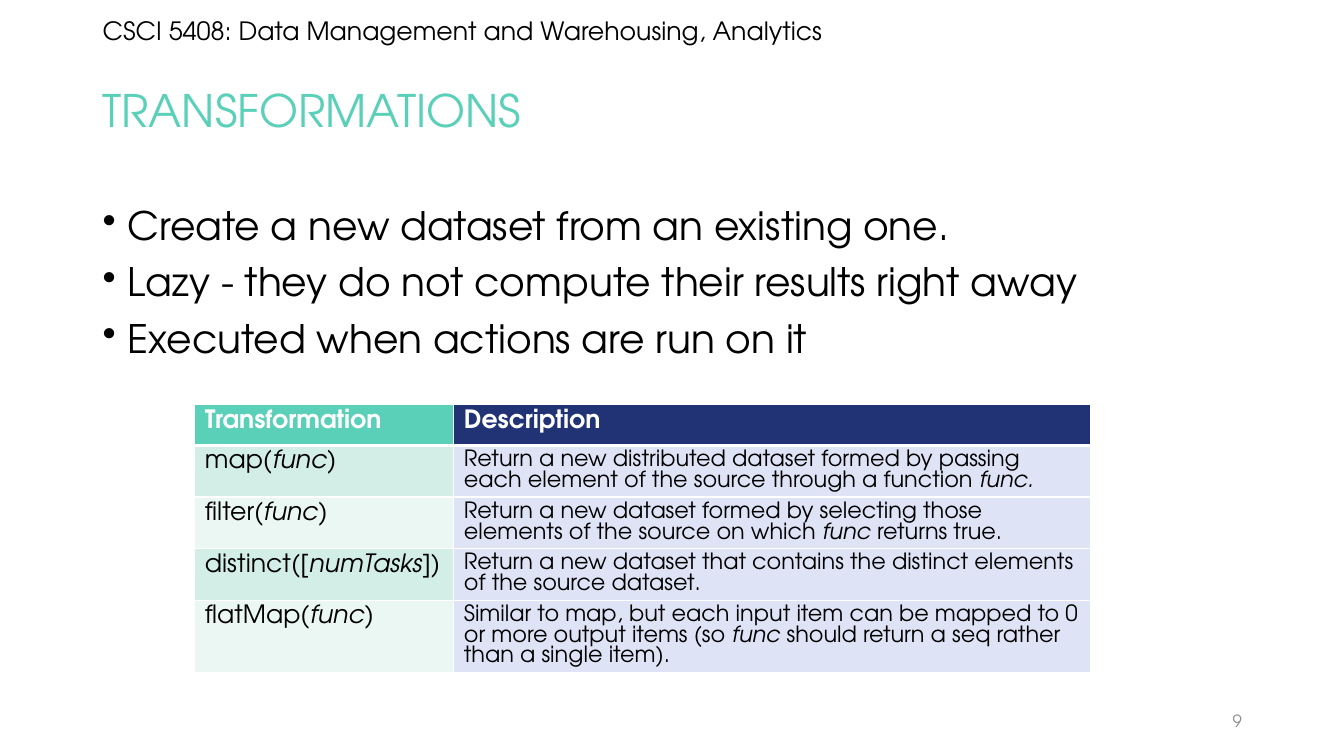
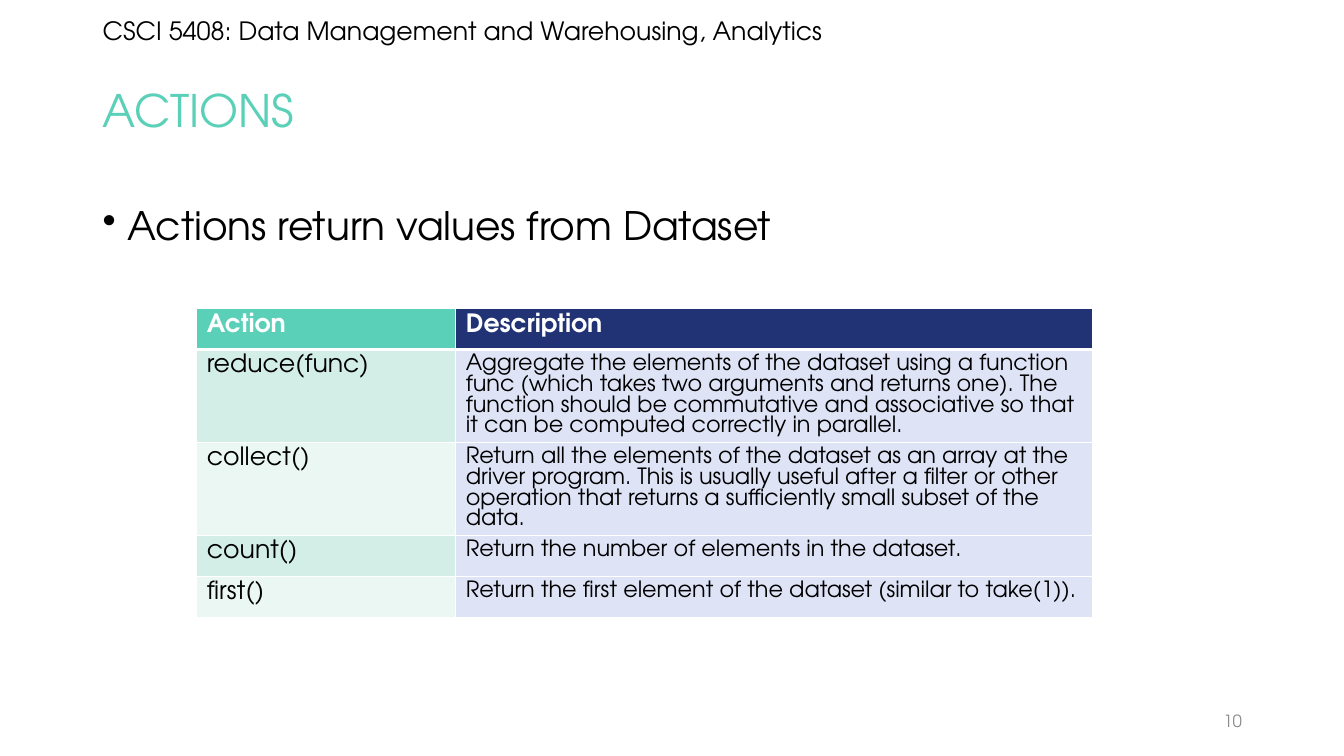
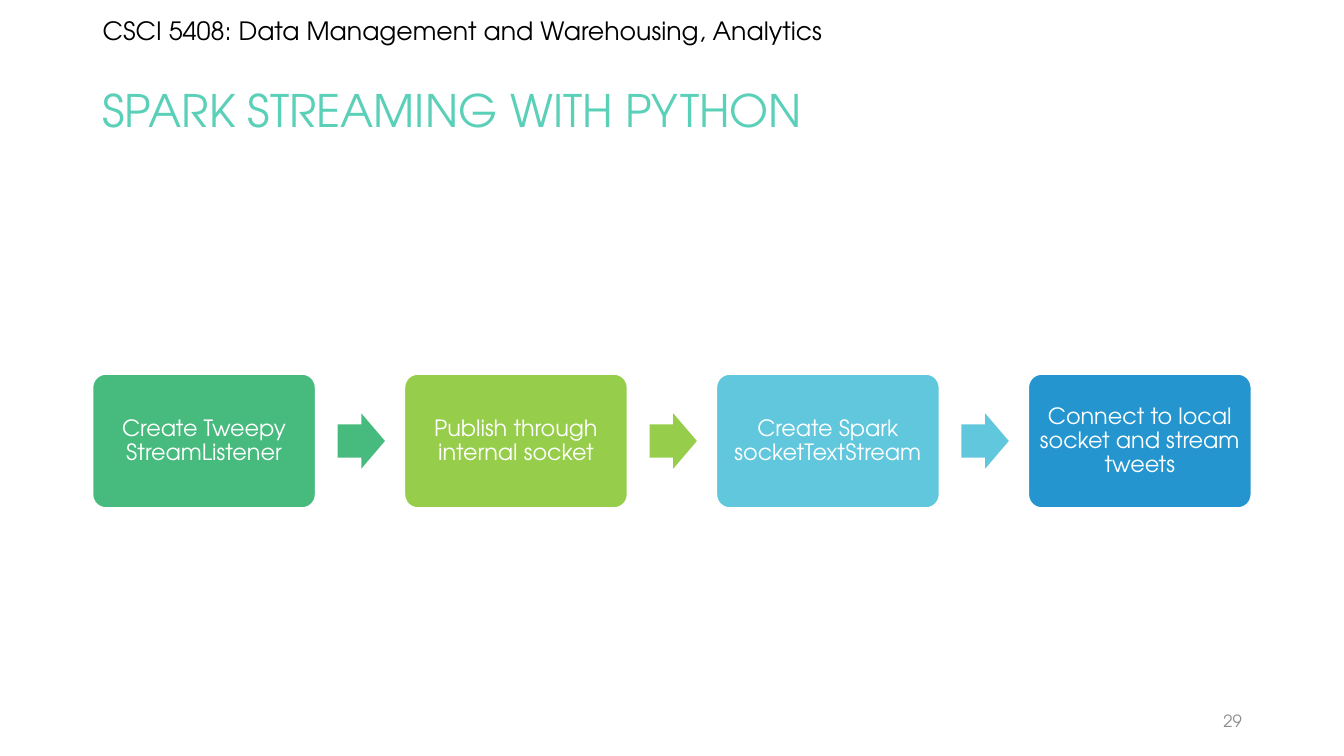
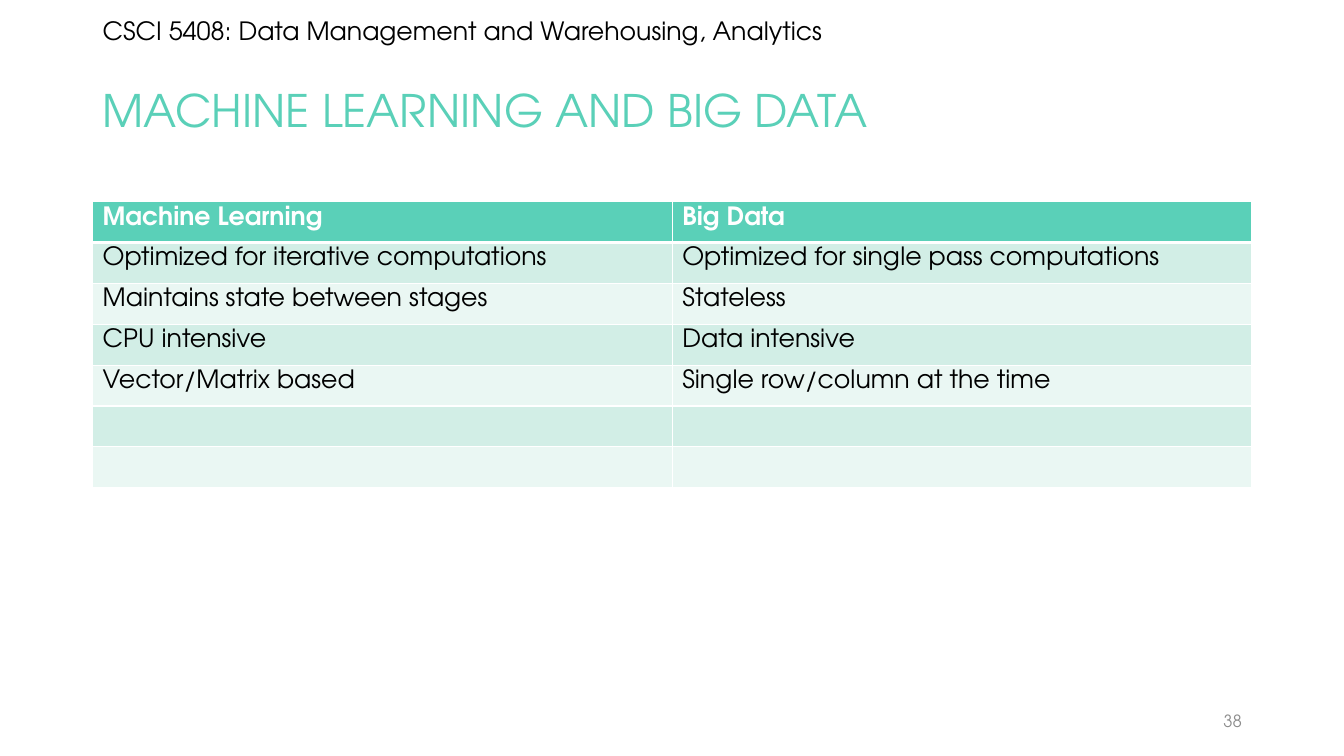
from lxml.etree import SubElement
from pptx import Presentation
from pptx.dml.color import RGBColor
from pptx.enum.shapes import MSO_SHAPE
from pptx.enum.text import MSO_ANCHOR, PP_ALIGN
from pptx.oxml.ns import qn
from pptx.util import Pt

FONT = "TeX Gyre Adventor"
BLACK = RGBColor(0x00, 0x00, 0x00)
WHITE = RGBColor(0xFF, 0xFF, 0xFF)
GRAY = RGBColor(0x8C, 0x8C, 0x8C)
TEAL = RGBColor(0x5A, 0xD0, 0xB8)
TEAL_BAND = RGBColor(0xD2, 0xEE, 0xE6)
TEAL_PALE = RGBColor(0xEA, 0xF7, 0xF3)
NAVY = RGBColor(0x21, 0x33, 0x75)
LAVENDER = RGBColor(0xDE, 0xE3, 0xF6)
GREEN = RGBColor(0x47, 0xBB, 0x7E)
LIME = RGBColor(0x96, 0xCD, 0x4B)
SKY = RGBColor(0x61, 0xC7, 0xDD)
BLUE = RGBColor(0x24, 0x95, 0xCF)

LEFT, CONTENT_WIDTH, CONTENT_TOP = 66.2, 828, 144
ROW_HEIGHT = 29.2
TABLE_LEADING = 0.925


def write(frame, text, size=18, color=BLACK, bold=False, align=PP_ALIGN.LEFT,
          anchor=MSO_ANCHOR.TOP, spacing=None, bullet=False):
    """Fill a text frame: one paragraph a line, italics between asterisks."""
    frame.word_wrap = True
    frame.vertical_anchor = anchor
    for number, line in enumerate(text.split("\n")):
        para = frame.add_paragraph() if number else frame.paragraphs[0]
        para.alignment = align
        if spacing:
            para.line_spacing = spacing
        if bullet:
            para.space_before = Pt(10)
            properties = para._p.get_or_add_pPr()
            properties.set("marL", str(Pt(18)))
            properties.set("indent", str(Pt(-18)))
            SubElement(properties, qn("a:buChar")).set("char", "•")
        for part, piece in enumerate(line.split("*")):
            if piece:
                span = para.add_run()
                span.text = piece
                font = span.font
                font.name, font.size, font.bold = FONT, Pt(size), bold
                font.italic = part % 2 == 1
                font.color.rgb = color


def add_grid(page, left, top, widths, rows, heads, bands, sizes):
    """Add a table with a coloured head row, banded rows and white rules."""
    grid = page.shapes.add_table(
        len(rows), len(widths), Pt(left), Pt(top),
        Pt(sum(widths)), Pt(ROW_HEIGHT * len(rows))).table
    for column, width in zip(grid.columns, widths):
        column.width = Pt(width)
    for r, row in enumerate(rows):
        grid.rows[r].height = Pt(ROW_HEIGHT)
        for c, text in enumerate(row):
            cell = grid.cell(r, c)
            size = sizes[c] if r else 18
            write(cell.text_frame, text, size=size, bold=r == 0,
                  color=BLACK if r else WHITE,
                  spacing=Pt(size * TABLE_LEADING) if text else None)
            # Borders come before the fill in the cell's XML
            for side in ("lnL", "lnR", "lnT", "lnB"):
                thick = (r == 0 and side == "lnB") or (r == 1 and side == "lnT")
                rule = SubElement(cell._tc.get_or_add_tcPr(), qn("a:" + side))
                rule.set("w", str(Pt(3 if thick else 1)))
                paint = SubElement(rule, qn("a:solidFill"))
                SubElement(paint, qn("a:srgbClr")).set("val", str(WHITE))
            cell.fill.solid()
            cell.fill.fore_color.rgb = bands[c][(r - 1) % 2] if r else heads[c]


deck = Presentation()
deck.slide_width, deck.slide_height = Pt(960), Pt(540)

# Course line, title and page number on every slide
pages = []
for title, number in (("TRANSFORMATIONS", 9), ("ACTIONS", 10),
                      ("SPARK STREAMING WITH PYTHON", 29),
                      ("MACHINE LEARNING AND BIG DATA", 38)):
    page = deck.slides.add_slide(deck.slide_layouts[6])
    pages.append(page)
    box = page.shapes.add_textbox(Pt(LEFT), Pt(7.2), Pt(536), Pt(29))
    write(box.text_frame, "CSCI 5408: Data Management and Warehousing, Analytics")
    box = page.shapes.add_textbox(Pt(LEFT), Pt(28.8), Pt(CONTENT_WIDTH), Pt(104.4))
    write(box.text_frame, title, size=32, color=TEAL, spacing=0.9,
          anchor=MSO_ANCHOR.MIDDLE)
    box = page.shapes.add_textbox(Pt(678.2), Pt(500.5), Pt(216), Pt(28.8))
    write(box.text_frame, str(number), size=12, color=GRAY,
          align=PP_ALIGN.RIGHT, anchor=MSO_ANCHOR.MIDDLE)
transformations, actions, streaming, comparison = pages

# Bullets and function tables
transformation_rows = [
    ("Transformation", "Description"),
    ("map(*func*)", "Return a new distributed dataset formed by passing each "
     "element of the source through a function *func.*"),
    ("filter(*func*)", "Return a new dataset formed by selecting those elements "
     "of the source on which *func* returns true."),
    ("distinct([*numTasks*])", "Return a new dataset that contains the distinct "
     "elements of the source dataset."),
    ("flatMap(*func*)", "Similar to map, but each input item can be mapped to 0 "
     "or more output items (so *func* should return a seq rather than a single item)."),
]
action_rows = [
    ("Action", "Description"),
    ("reduce(func)", "Aggregate the elements of the dataset using a function func "
     "(which takes two arguments and returns one). The function should be "
     "commutative and associative so that it can be computed correctly in parallel."),
    ("collect()", "Return all the elements of the dataset as an array at the driver "
     "program. This is usually useful after a filter or other operation that "
     "returns a sufficiently small subset of the data."),
    ("count()", "Return the number of elements in the dataset."),
    ("first()", "Return the first element of the dataset (similar to take(1))."),
]
for page, bullets, left, top, rows in (
        (transformations, "Create a new dataset from an existing one.\n"
         "Lazy - they do not compute their results right away\n"
         "Executed when actions are run on it", 139.2, 289, transformation_rows),
        (actions, "Actions return values from Dataset", 140.6, 220.4, action_rows)):
    box = page.shapes.add_textbox(Pt(LEFT), Pt(CONTENT_TOP), Pt(CONTENT_WIDTH), Pt(342.6))
    write(box.text_frame, bullets, size=28, spacing=0.9, bullet=True)
    add_grid(page, left, top, (185, 455), rows, heads=(TEAL, NAVY),
             bands=((TEAL_BAND, TEAL_PALE), (LAVENDER, LAVENDER)), sizes=(18, 16))

# Streaming steps, with an arrow after each but the last
steps = (("Create Tweepy StreamListener", GREEN),
         ("Publish through internal socket", LIME),
         ("Create Spark socketTextStream", SKY),
         ("Connect to local socket and stream tweets", BLUE))
STEP_WIDTH, STEP_PITCH = 159.2, 222.8
for index, (label, color) in enumerate(steps):
    left = LEFT + index * STEP_PITCH
    step = streaming.shapes.add_shape(
        MSO_SHAPE.ROUNDED_RECTANGLE, Pt(left), Pt(267.2), Pt(STEP_WIDTH), Pt(95.6))
    step.adjustments[0] = 0.1
    step.line.color.rgb = WHITE
    step.line.width = Pt(1)
    frame = step.text_frame
    frame.margin_left = frame.margin_right = Pt(4)
    write(frame, label, size=16, color=WHITE, align=PP_ALIGN.CENTER,
          anchor=MSO_ANCHOR.MIDDLE, spacing=0.9)
    shapes = [step]
    if index < len(steps) - 1:
        arrow = streaming.shapes.add_shape(
            MSO_SHAPE.RIGHT_ARROW, Pt(left + 175), Pt(295.2), Pt(33.8), Pt(39.6))
        arrow.adjustments[0], arrow.adjustments[1] = 0.6, 0.5
        arrow.line.fill.background()
        shapes.append(arrow)
    for shape in shapes:
        shape.shadow.inherit = False
        shape.fill.solid()
        shape.fill.fore_color.rgb = color

# Comparison table, its last two rows left open
add_grid(comparison, LEFT, CONTENT_TOP, (CONTENT_WIDTH / 2, CONTENT_WIDTH / 2), [
    ("Machine Learning", "Big Data"),
    ("Optimized for iterative computations", "Optimized for single pass computations"),
    ("Maintains state between stages", "Stateless"),
    ("CPU intensive", "Data intensive"),
    ("Vector/Matrix based", "Single row/column at the time"),
    ("", ""),
    ("", ""),
], heads=(TEAL, TEAL), bands=((TEAL_BAND, TEAL_PALE),) * 2, sizes=(18, 18))

deck.save("out.pptx")
